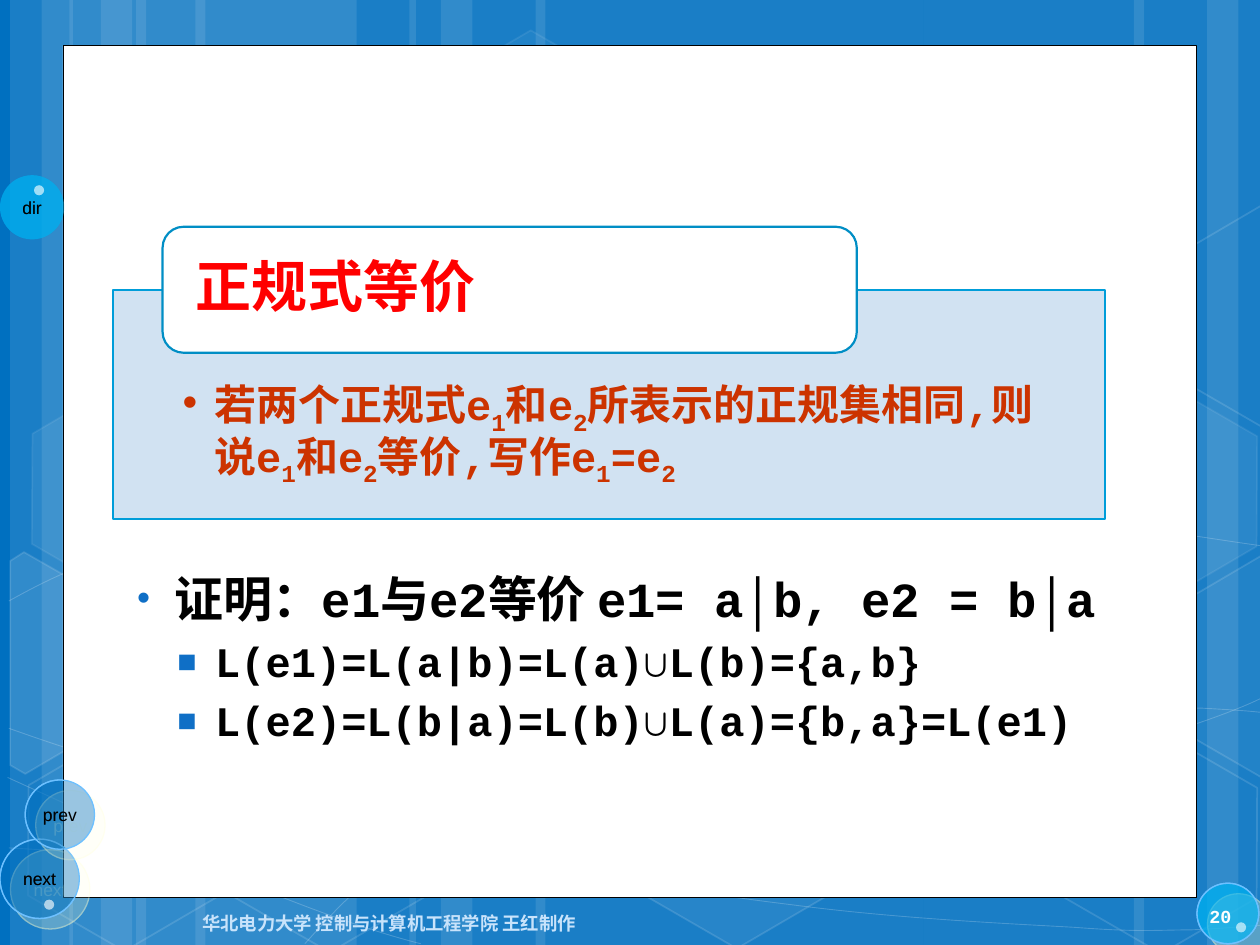
import math

from lxml import etree
from pptx import Presentation
from pptx import util as u
from pptx.dml.color import RGBColor
from pptx.enum import shapes, text
from pptx.oxml.ns import qn

SHAPE, ALIGN, ANCHOR = shapes.MSO_SHAPE, text.PP_ALIGN, text.MSO_ANCHOR
MONO = "Courier New"
WHITE, BLACK = RGBColor(255, 255, 255), RGBColor(0, 0, 0)
BLUE, SKY = RGBColor(0x00, 0x70, 0xC0), RGBColor(0x00, 0xB0, 0xF0)
RIM, GLOW = RGBColor(0x6D, 0xC0, 0xFF), RGBColor(0xFF, 0xFF, 0xCC)
PALE, PALE_EDGE = RGBColor(0xCC, 0xDF, 0xF1), RGBColor(0x00, 0x9D, 0xD9)
TITLE_EDGE, RED = RGBColor(0x00, 0x8E, 0xC5), RGBColor(255, 0, 0)
BRICK, BULLET = RGBColor(0xCC, 0x33, 0x00), RGBColor(0x0F, 0x6F, 0xC6)
FOOTER, NUMBER = RGBColor(0xC8, 0xE3, 0xFB), RGBColor(0xFE, 0xFE, 0xFE)
TILT = 30

# Positions are in inches; size() turns them into Cm.
TITLE = "正规式等价"
# An underscore puts the next character in subscript.
DEFINITION = "若两个正规式e_1和e_2所表示的正规集相同,则说e_1和e_2等价,写作e_1=e_2"
PROOF = [  # text, level, size, left indent, bullet
    ("证明：e1与e2等价 e1= a│b, e2 = b│a", 0, 28, 0.38, "•"),
    ("L(e1)=L(a|b)=L(a)∪L(b)={a,b}", 1, 24, 0.7, "■"),
    ("L(e2)=L(b|a)=L(b)∪L(a)={b,a}=L(e1)", 1, 24, 0.7, "■"),
]
STRIPES = [  # left, width
    (1.08, 1.75), (0.08, 0.5), (0.33, 0.83), (1.55, 1.75), (0.55, 0.5), (0.8, 0.83),
    (7.33, 1.75), (9.58, 0.5), (9, 0.83), (4.25, 3.08), (3.25, 0.5), (3.5, 0.83),
]
CURVES = [  # start point, then two control points and an end point per bend
    [(0.07, 6.73), (0.61, 6.76), (1.15, 6.79), (1.9, 6.78), (2.65, 6.77), (3.58, 6.75),
     (4.58, 6.65), (5.58, 6.55), (7, 6.36), (7.92, 6.17), (8.83, 5.98), (9.77, 5.68),
     (10.07, 5.51)],
    [(0.07, 4.77), (0.36, 4.61), (0.65, 4.46), (1.21, 4.31), (1.78, 4.16), (2.59, 3.94),
     (3.47, 3.87), (4.36, 3.8), (5.44, 3.79), (6.54, 3.87), (7.64, 3.95), (9.47, 4.26),
     (10.07, 4.34)],
    [(0.06, 6.17), (1.27, 6.72), (2.47, 7.27), (3.34, 7.49)],
    [(0.07, 5.78), (0.38, 5.89), (0.7, 6), (1.28, 6.16), (1.86, 6.31), (2.73, 6.56),
     (3.57, 6.73), (4.4, 6.9), (5.45, 7.08), (6.28, 7.18), (7.11, 7.29), (8, 7.33),
     (8.53, 7.36), (9.05, 7.4), (9.19, 7.38), (9.45, 7.38), (9.71, 7.37), (9.89, 7.35),
     (10.07, 7.34)],
    [(2.42, 7.49), (2.6, 7.29), (2.78, 7.09), (3.02, 6.91), (3.26, 6.73), (3.6, 6.53),
     (3.88, 6.39), (4.16, 6.25), (4.33, 6.19), (4.7, 6.09), (5.06, 5.99), (5.73, 5.85),
     (6.08, 5.78), (6.44, 5.71), (6.49, 5.71), (6.8, 5.69), (7.11, 5.66), (7.6, 5.63),
     (7.94, 5.62), (8.29, 5.61), (8.86, 5.62), (8.86, 5.62), (9.08, 5.62), (9.31, 5.62),
     (9.53, 5.62), (9.71, 5.63), (9.88, 5.64), (9.97, 5.65), (10.06, 5.66),
     (10.03, 5.65), (10.06, 5.66)],
]
HEXAGONS = [  # left, top, fill opacity, line opacity
    (3.34, 0.36, 4, 8), (4.97, 5.89, 6, 12), (0.11, 5.91, 0, 12), (0.14, 3.12, 7, 8),
    (1.74, 5.92, 0, 12), (7.53, 4.53, 10, 12), (8.34, 5.93, 0, 12), (8.34, 3.14, 7, 8),
]
CUT_HEXAGONS = [  # outline as seen, centre of rotation, fill opacity
    ([(0.08, 4.45), (0.19, 4.38), (0.96, 4.82), (0.95, 5.7), (0.2, 6.14), (0.08, 6.07)],
     (0.36, 5.35), 10),
    ([(9.26, 4.85), (10.01, 4.41), (10.09, 4.46), (10.09, 6.13), (10.02, 6.17),
      (9.26, 5.73)], (9.85, 5.2), 4),
    ([(9.26, 2.07), (10.01, 1.63), (10.1, 1.68), (10.09, 3.35), (10.02, 3.39),
      (9.26, 2.95)], (9.85, 2.41), 0),
]
BUTTONS = [  # label, box, fill, opacity, has rim and shadow
    ("", (9.5, 7.01, 0.49, 0.48), SKY, 50, True),
    ("dir", (0, 1.39, 0.51, 0.51), SKY, 50, False),
    ("next", (0, 6.66, 0.63, 0.63), BLUE, 40, True),
    ("prev", (0.2, 6.19, 0.55, 0.55), BLUE, 40, True),
]
DOTS = [(0.35, 7.14), (0.27, 1.47), (9.81, 7.32)]


def size(inches):
    return u.Cm(inches * 2.54)


def sub(parent, tag, **attrs):
    return etree.SubElement(parent, qn(tag), {k: str(v) for k, v in attrs.items()})


def set_opacity(parent, percent):
    if percent < 100:
        sub(parent.find(qn("a:solidFill"))[0], "a:alpha", val=percent * 1000)


def paint(sp, fill=None, opacity=100, line=None, width=1, line_opacity=100):
    sp.shadow.inherit = False
    if fill is None or opacity == 0:
        sp.fill.background()
    else:
        sp.fill.solid()
        sp.fill.fore_color.rgb = fill
        set_opacity(sp._element.spPr, opacity)
    if line is None:
        sp.line.fill.background()
    else:
        sp.line.color.rgb = line
        sp.line.width = u.Pt(width)
        set_opacity(sp._element.spPr.find(qn("a:ln")), line_opacity)
    return sp


def add_shape(s, kind, box, **look):
    return paint(s.shapes.add_shape(kind, *map(size, box)), **look)


def add_outline(s, points, close, **look):
    start, *others = [tuple(map(size, pt)) for pt in points]
    builder = s.shapes.build_freeform(*start, scale=1.0)
    builder.add_line_segments(others, close=close)
    return paint(builder.convert_to_shape(), **look)


def bend(sp):
    """Turn every three straight segments into one cubic Bezier."""
    segments = list(sp._element.iter(qn("a:lnTo")))
    for i in range(0, len(segments), 3):
        curve = etree.Element(qn("a:cubicBezTo"))
        segments[i].addprevious(curve)
        for segment in segments[i:i + 3]:
            curve.append(segment[0])
            segment.getparent().remove(segment)


def turn_back(point, centre):
    x, y = point[0] - centre[0], point[1] - centre[1]
    c, n = math.cos(math.radians(TILT)), math.sin(math.radians(TILT))
    return centre[0] + x * c + y * n, centre[1] - x * n + y * c


def frame(sp, insets=(0.1, 0.05, 0.1, 0.05), anchor=ANCHOR.TOP, wrap=True):
    tf = sp.text_frame
    tf.word_wrap, tf.vertical_anchor = wrap, anchor
    tf.margin_left, tf.margin_top, tf.margin_right, tf.margin_bottom = map(size, insets)
    return tf


def write(tf, content, pt=24, color=BLACK, font=MONO, bold=True, align=ALIGN.LEFT, level=0,
          bullet=None, bullet_color=None, indent=0, hang=0, before=0, spacing=None):
    """Fill the first paragraph if it is empty, else append one."""
    first = not tf.paragraphs[0].runs
    p = tf.paragraphs[0] if first else tf.add_paragraph()
    p.alignment, p.level, p.line_spacing = align, level, spacing
    if not first:
        p.space_before = u.Pt(before)
    if bullet:
        pPr = p._p.get_or_add_pPr()
        pPr.set("marL", str(size(indent)))
        pPr.set("indent", str(-size(hang)))
        if bullet_color is not None:
            sub(sub(pPr, "a:buClr"), "a:srgbClr", val=bullet_color)
            sub(pPr, "a:buSzPct", val=76000)
        sub(pPr, "a:buFont", typeface="Arial")
        sub(pPr, "a:buChar", char=bullet)
    head, *rest = content.split("_")
    pieces = [(head, False)]
    for part in rest:
        pieces += [(part[0], True), (part[1:], False)]
    for piece, lowered in pieces:
        if piece:
            r = p.add_run()
            r.text = piece
            r.font.size, r.font.name, r.font.bold = u.Pt(pt), font, bold
            r.font.color.rgb = color
            if lowered:
                r._r.get_or_add_rPr().set("baseline", "-25000")


def add_text(s, box, content, **style):
    tf = frame(s.shapes.add_textbox(*map(size, box)), anchor=ANCHOR.MIDDLE)
    write(tf, content, pt=10.5, **style)


def draw_backdrop(s):
    for left, width in STRIPES:
        add_shape(s, SHAPE.RECTANGLE, (left, 0, width, 7.5), fill=WHITE, opacity=10)
    for points in CURVES:
        bend(add_outline(s, points, False, line=WHITE, width=0.5, line_opacity=20))
    for left, top, opacity, edge in HEXAGONS:
        sp = add_shape(s, SHAPE.HEXAGON, (left, top, 1.75, 1.52), fill=WHITE,
                       opacity=opacity, line=WHITE, line_opacity=edge)
        sp.adjustments[0], sp.rotation = 0.285, TILT
    for points, centre, opacity in CUT_HEXAGONS:
        sp = add_outline(s, [turn_back(pt, centre) for pt in points], True, fill=WHITE,
                         opacity=opacity, line=WHITE, line_opacity=12)
        sp.rotation = TILT


def draw_buttons(s):
    for label, box, fill, opacity, raised in BUTTONS:
        sp = add_shape(s, SHAPE.OVAL, box, fill=fill, opacity=opacity,
                       line=RIM if raised else None, width=0.75)
        if raised:
            shadow = sub(sp._element.spPr.find(qn("a:effectLst")), "a:outerShdw",
                         dist=u.Pt(8.5), dir=45 * 60000, algn="ctr", rotWithShape=0)
            sub(sub(shadow, "a:srgbClr", val=GLOW), "a:alpha", val=30000)
        if label:
            write(frame(sp, anchor=ANCHOR.MIDDLE, wrap=False), label, pt=10, font="Arial",
                  bold=False, align=ALIGN.CENTER)
    for left, top in DOTS:
        add_shape(s, SHAPE.OVAL, (left, top, 0.08, 0.08), fill=WHITE, opacity=50)


def main():
    prs = Presentation()
    prs.slide_width, prs.slide_height = size(10), size(7.5)
    s = prs.slides.add_slide(prs.slide_layouts[6])
    s.background.fill.solid()
    s.background.fill.fore_color.rgb = BLUE

    draw_backdrop(s)
    draw_buttons(s)
    add_shape(s, SHAPE.RECTANGLE, (0.5, 0.36, 9, 6.76), fill=WHITE, line=BLACK, width=0.5)
    draw_buttons(s)

    proof = frame(s.shapes.add_textbox(*map(size, (0.91, 1.64, 8.18, 5.04))),
                  (0.1, 2.87, 0.1, 0.05))
    for line, level, pt, indent, bullet in PROOF:
        write(proof, line, pt=pt, level=level, indent=indent, hang=0.3, bullet=bullet,
              bullet_color=BULLET, before=5)
    add_text(s, (0.95, 7.13, 3.72, 0.4), "华北电力大学 控制与计算机工程学院 王红制作",
             color=FOOTER, align=ALIGN.RIGHT)
    add_text(s, (9.5, 7.07, 0.47, 0.4), "20", color=NUMBER)

    card = add_shape(s, SHAPE.RECTANGLE, (0.9, 2.3, 7.87, 1.82), fill=PALE, opacity=90,
                     line=PALE_EDGE, width=1.25)
    write(frame(card, (0.55, 0.71, 0.28, 0.19)), DEFINITION, color=BRICK, level=1,
          bullet="•", indent=0.25, hang=0.25, spacing=0.9)
    tab = add_shape(s, SHAPE.ROUNDED_RECTANGLE, (1.29, 1.8, 5.51, 1), fill=WHITE,
                    line=TITLE_EDGE, width=1.25)
    write(frame(tab, (0.21, 0, 0.21, 0), ANCHOR.MIDDLE), TITLE, pt=32, color=RED, spacing=0.9)
    prs.save("out.pptx")


if __name__ == "__main__":
    main()
